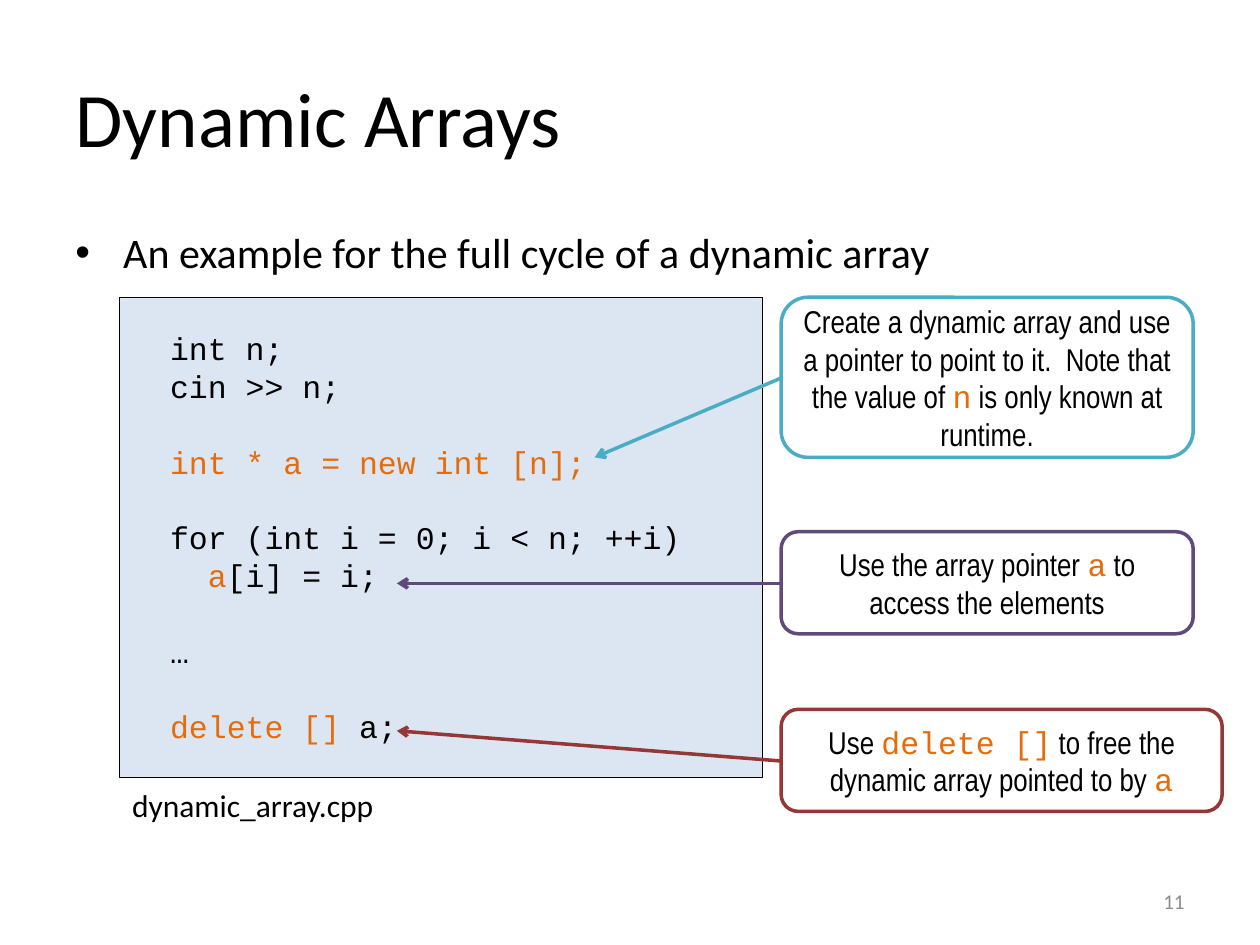
from lxml import etree
from pptx import Presentation
from pptx import util as u
from pptx.dml.color import RGBColor
from pptx.enum import shapes, text
from pptx.oxml.ns import qn

BLACK, ORANGE = "000000", "E46C0A"
LINE_HEIGHT = u.Pt(21.6)

# Text between backquotes is highlighted code.
CODE_BLOCKS = [
    ["int n;", "cin >> n;"],
    ["`int * a = new int [n];`"],
    ["for (int i = 0; i < n; ++i)", "  `a`[i] = i;"],
    ["…"],
    ["`delete []` a;"],
]
# Wording, colour, top, width, height, arrow start y, arrow tip
CALLOUTS = [
    ("Create a dynamic array and use a pointer to point to it.  Note that "
     "the value of `n` is only known at runtime.",
     "4BACC6", 2.36, 3.27, 1.27, 3, (4.72, 3.63)),
    ("Use the array pointer `a` to access the elements",
     "604A7B", 4.22, 3.27, 0.81, 4.63, (3.15, 4.63)),
    ("Use `delete []` to free the dynamic array pointed to by `a`",
     "953735", 5.63, 3.5, 0.81, 6.04, (3.15, 5.8)),
]
CALLOUT_LEFT = 6.2


def rgb(value):
    return RGBColor.from_string(value)


def inches(*lengths):
    return [u.Inches(length) for length in lengths]


class SlideBuilder:
    body_font, note_font, code_font = "Calibri", "Arial Narrow", "Courier New"

    def __init__(self, slide):
        self.slide = slide

    def style(self, run, size, font, color=BLACK):
        run.font.size = u.Pt(size)
        run.font.name = font
        run.font.color.rgb = rgb(color)

    def marked(self, paragraph, wording, font):
        """Fill a paragraph, setting backquoted parts as orange code."""
        for index, part in enumerate(wording.split("`")):
            if part:
                run = paragraph.add_run()
                run.text = part
                highlighted = index % 2 == 1
                self.style(run, 18, self.code_font if highlighted else font,
                           ORANGE if highlighted else BLACK)

    def title(self, wording, box):
        title = self.slide.shapes.title
        title.left, title.top, title.width, title.height = inches(*box)
        frame = title.text_frame
        frame.text = wording
        frame.vertical_anchor = text.MSO_ANCHOR.MIDDLE
        frame.paragraphs[0].alignment = text.PP_ALIGN.LEFT
        self.style(frame.paragraphs[0].runs[0], 44, self.body_font)

    def label(self, wording, box, size, color=BLACK, wrap=True):
        frame = self.slide.shapes.add_textbox(*inches(*box)).text_frame
        frame.word_wrap = wrap
        frame.text = wording
        self.style(frame.paragraphs[0].runs[0], size, self.body_font, color)
        return frame

    def bullet(self, wording, box):
        paragraph = self.label(wording, box, 24).paragraphs[0]
        properties = paragraph._p.get_or_add_pPr()
        properties.set("marL", str(u.Inches(0.38)))
        properties.set("indent", str(u.Inches(-0.38)))
        etree.SubElement(properties, qn("a:buFont")).set("typeface", "Arial")
        etree.SubElement(properties, qn("a:buChar")).set("char", "•")

    def panel(self, preset, box, fill, line, line_width):
        panel = self.slide.shapes.add_shape(preset, *inches(*box))
        panel.shadow.inherit = False
        panel.fill.solid()
        panel.fill.fore_color.rgb = rgb(fill)
        panel.line.color.rgb = rgb(line)
        panel.line.width = u.Pt(line_width)
        frame = panel.text_frame
        frame.word_wrap = True
        frame.vertical_anchor = text.MSO_ANCHOR.MIDDLE
        return frame

    def code(self, blocks, box):
        frame = self.panel(shapes.MSO_SHAPE.RECTANGLE, box, "DCE6F2", BLACK, 0.75)
        frame.margin_left = u.Inches(0.4)
        paragraph = frame.paragraphs[0]
        for block_index, block in enumerate(blocks):
            for line_index, line in enumerate(block):
                if block_index or line_index:
                    paragraph = frame.add_paragraph()
                paragraph.alignment = text.PP_ALIGN.LEFT
                paragraph.line_spacing = LINE_HEIGHT
                if block_index and not line_index:
                    paragraph.space_before = LINE_HEIGHT
                self.marked(paragraph, line, self.code_font)

    def callout(self, wording, color, box):
        frame = self.panel(shapes.MSO_SHAPE.ROUNDED_RECTANGLE, box, "FFFFFF", color, 2)
        frame.paragraphs[0].alignment = text.PP_ALIGN.CENTER
        self.marked(frame.paragraphs[0], wording, self.note_font)

    def arrow(self, start, tip, color):
        arrow = self.slide.shapes.add_connector(
            shapes.MSO_CONNECTOR.STRAIGHT, *inches(*start, *tip))
        arrow.line.color.rgb = rgb(color)
        arrow.line.width = u.Pt(2)
        etree.SubElement(arrow.line._get_or_add_ln(), qn("a:tailEnd")).set("type", "arrow")
        etree.SubElement(arrow._element.spPr, qn("a:effectLst"))


def main():
    deck = Presentation()
    deck.slide_width, deck.slide_height = inches(10, 7.5)
    builder = SlideBuilder(deck.slides.add_slide(deck.slide_layouts[5]))

    builder.title("Dynamic Arrays", (0.5, 0.3, 9, 1.25))
    builder.bullet("An example for the full cycle of a dynamic array",
                   (0.5, 1.75, 9, 0.55))
    page = builder.label("11", (7.17, 6.95, 2.33, 0.4), 12, "8C8C8C")
    page.vertical_anchor = text.MSO_ANCHOR.MIDDLE
    page.paragraphs[0].alignment = text.PP_ALIGN.RIGHT

    builder.code(CODE_BLOCKS, (0.95, 2.36, 5.1, 3.81))
    for wording, color, top, width, height, start_y, tip in CALLOUTS:
        builder.callout(wording, color, (CALLOUT_LEFT, top, width, height))
        builder.arrow((CALLOUT_LEFT, start_y), tip, color)
    builder.label("dynamic_array.cpp", (0.95, 6.19, 2.16, 0.4), 18, wrap=False)

    deck.save("out.pptx")


if __name__ == "__main__":
    main()
